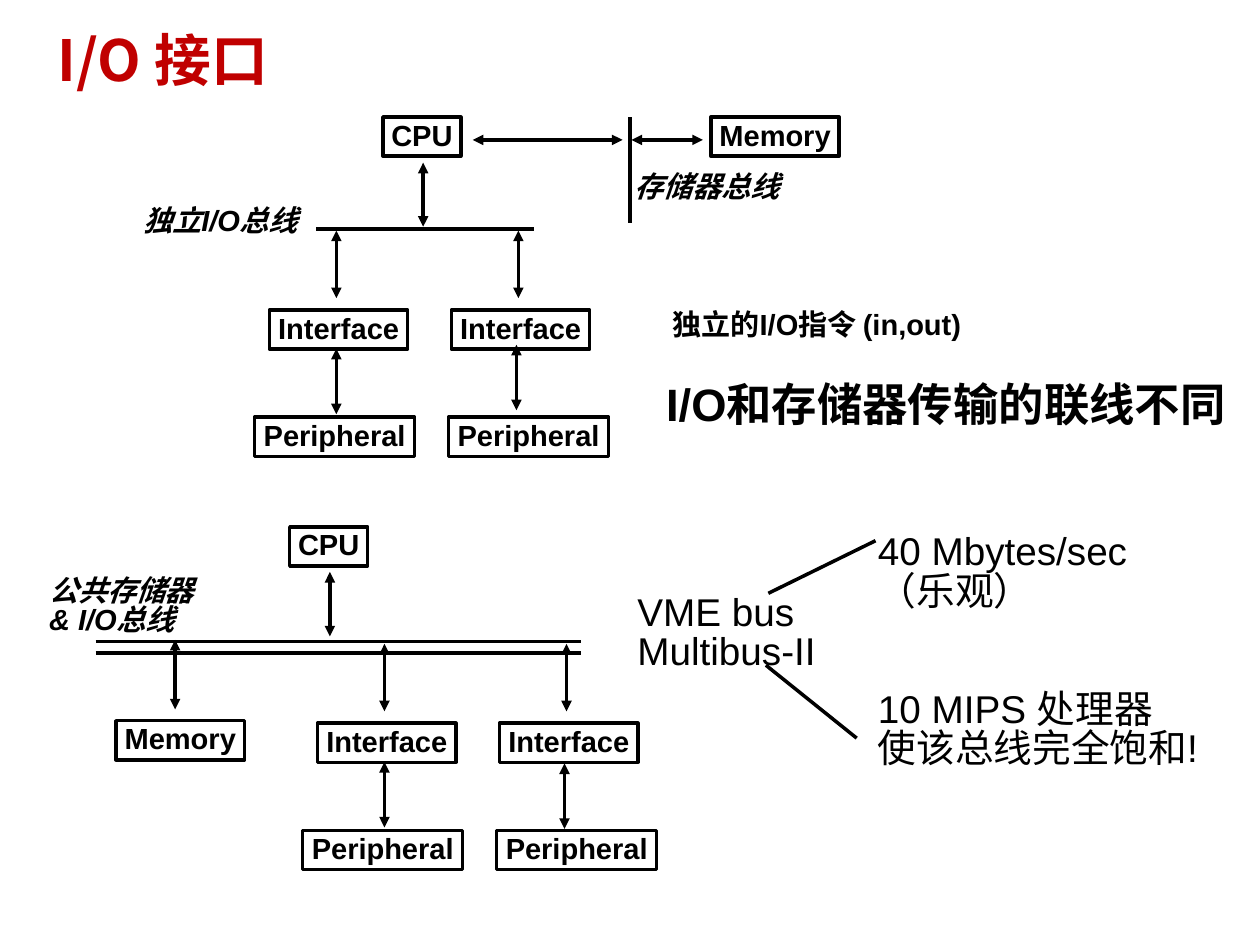
from lxml import etree
from pptx import Presentation
from pptx.dml.color import RGBColor
from pptx.enum.shapes import MSO_CONNECTOR, MSO_SHAPE
from pptx.enum.text import MSO_ANCHOR, PP_ALIGN
from pptx.oxml.ns import qn
from pptx.util import Cm, Pt

RECTANGLE = MSO_SHAPE.RECTANGLE
STRAIGHT = MSO_CONNECTOR.STRAIGHT
MIDDLE, TOP = MSO_ANCHOR.MIDDLE, MSO_ANCHOR.TOP
CENTER, LEFT = PP_ALIGN.CENTER, PP_ALIGN.LEFT
BLACK, RED = "000000", "C00000"
BLOCK_HEIGHT = 0.79
BLOCK_WIDTHS = {"CPU": 1.57, "Memory": 2.59, "Interface": 2.79, "Peripheral": 3.23}


def rgb(value):
    """Turn a hex string into a colour."""
    return RGBColor.from_string(value)


def write(shape, lines, size=16.6, bold=True, italic=False, color=BLACK,
          font_name="Arial", spacing=0.85, align=LEFT, anchor=TOP, insets=(0.15, 0.08)):
    """Fill a shape with one paragraph per line."""
    frame = shape.text_frame
    frame.word_wrap = True
    frame.vertical_anchor = anchor
    frame.margin_left = frame.margin_right = Cm(insets[0])
    frame.margin_top = frame.margin_bottom = Cm(insets[1])
    frame.text = "\n".join(lines)
    for paragraph in frame.paragraphs:
        paragraph.alignment = align
        paragraph.line_spacing = spacing
        font = paragraph.font
        font.name, font.size, font.bold, font.italic = font_name, Pt(size), bold, italic
        font.color.rgb = rgb(color)
    return frame


def label(slide, left, top, width, height, lines, **style):
    """Place plain text."""
    box = slide.shapes.add_textbox(Cm(left), Cm(top), Cm(width), Cm(height))
    return write(box, lines, **style)


def block(slide, left, top, name):
    """Draw one outlined hardware unit."""
    unit = slide.shapes.add_shape(
        RECTANGLE, Cm(left), Cm(top), Cm(BLOCK_WIDTHS[name]), Cm(BLOCK_HEIGHT))
    unit.shadow.inherit = False
    unit.fill.background()
    unit.line.color.rgb = rgb(BLACK)
    unit.line.width = Pt(2)
    frame = write(unit, [name], spacing=0.92, align=CENTER, anchor=MIDDLE)
    frame.word_wrap = False


def wire(slide, x1, y1, x2, y2, arrows=False):
    """Draw a straight line, with arrowheads at both ends if asked."""
    connector = slide.shapes.add_connector(STRAIGHT, Cm(x1), Cm(y1), Cm(x2), Cm(y2))
    connector.line.color.rgb = rgb(BLACK)
    connector.line.width = Pt(2)
    if arrows:
        outline = connector.line._get_or_add_ln()
        for end in ("a:headEnd", "a:tailEnd"):
            etree.SubElement(outline, qn(end), type="triangle")
    etree.SubElement(connector._element.spPr, qn("a:effectLst"))


def devices(slide, left, top, second_shift):
    """Hang two interfaces with their peripherals below a bus."""
    for column, shift in enumerate((0, second_shift)):
        x = left + 3.67 * column
        link = left + 1.65 + 3.63 * column
        wire(slide, x + 1.65, top, x + 1.65, top + 1.36, True)
        block(slide, x + 0.3, top + 1.6, "Interface")
        wire(slide, link, top + 2.38 + shift, link, top + 3.7 + shift, True)
        block(slide, left + 3.91 * column, top + 3.76, "Peripheral")


def separate_buses(slide, left, top):
    """Draw the CPU with its own I/O bus and memory bus."""
    label(slide, left, top + 1.75, 3.48, 0.74, ["独立I/O总线"], italic=True)
    block(slide, left + 4.98, top, "CPU")
    wire(slide, left + 3.64, top + 2.26, left + 8.03, top + 2.26)
    wire(slide, left + 5.79, top + 0.92, left + 5.79, top + 2.21, True)
    devices(slide, left + 2.39, top + 2.29, -0.08)
    wire(slide, left + 9.96, top, left + 9.96, top + 2.13)
    for start, end in ((6.79, 9.81), (9.99, 11.43)):
        wire(slide, left + start, top + 0.46, left + end, top + 0.46, True)
    block(slide, left + 11.59, top, "Memory")
    label(slide, left + 9.91, top + 1.07, 3.3, 0.74, ["存储器总线"], italic=True)


def instruction_notes(slide, left, top):
    """Place the remarks on separate I/O instructions."""
    label(slide, left, top, 6.4, 0.74, [" 独立的I/O指令 (in,out)"])
    label(slide, left, top + 1.47, 11.73, 1.07, ["I/O和存储器传输的联线不同"], size=25.9)


def shared_bus(slide, left, top):
    """Draw the CPU, memory and devices on one common bus."""
    block(slide, left + 5, top, "CPU")
    for rail in (2.31, 2.54):
        wire(slide, left + 1.09, top + rail, left + 10.87, top + rail)
    wire(slide, left + 5.81, top + 0.91, left + 5.81, top + 2.21, True)
    devices(slide, left + 5.26, top + 2.36, 0.03)
    block(slide, left + 1.5, top + 3.91, "Memory")
    wire(slide, left + 2.69, top + 2.28, left + 2.69, top + 3.68, True)
    label(slide, left, top + 0.94, 3.3, 1.35, ["公共存储器", "& I/O总线"], italic=True)


def bandwidth(slide, left, top):
    """Compare the bus speed with what the processor needs."""
    style = {"size": 22.1, "bold": False}
    label(slide, left, top + 1.22, 3.96, 1.75, ["VME bus", "Multibus-II"], **style)
    facts = label(slide, left + 4.85, top, 7.2, 4.95, [
        "40 Mbytes/sec", "（乐观）", "10 MIPS 处理器", "使该总线完全饱和!"], **style)
    facts.paragraphs[2].space_before = Pt(45)
    wire(slide, left + 2.79, top + 1.27, left + 4.95, top + 0.21)
    wire(slide, left + 2.74, top + 2.72, left + 4.57, top + 4.19)


def main():
    """Build the slide and save it."""
    deck = Presentation()
    deck.slide_width, deck.slide_height = Cm(25.4), Cm(19.05)
    slide = deck.slides.add_slide(deck.slide_layouts[6])
    label(slide, 0.94, 0.66, 21.36, 1.04, ["I/O 接口"], size=32.4, color=RED,
          font_name="Noto Sans CJK SC", spacing=1.0, anchor=MIDDLE, insets=(0.23, 0.1))
    separate_buses(slide, 2.74, 2.36)
    instruction_notes(slide, 13.28, 6.2)
    shared_bus(slide, 0.84, 10.62)
    bandwidth(slide, 12.7, 10.69)
    deck.save("out.pptx")


if __name__ == "__main__":
    main()
